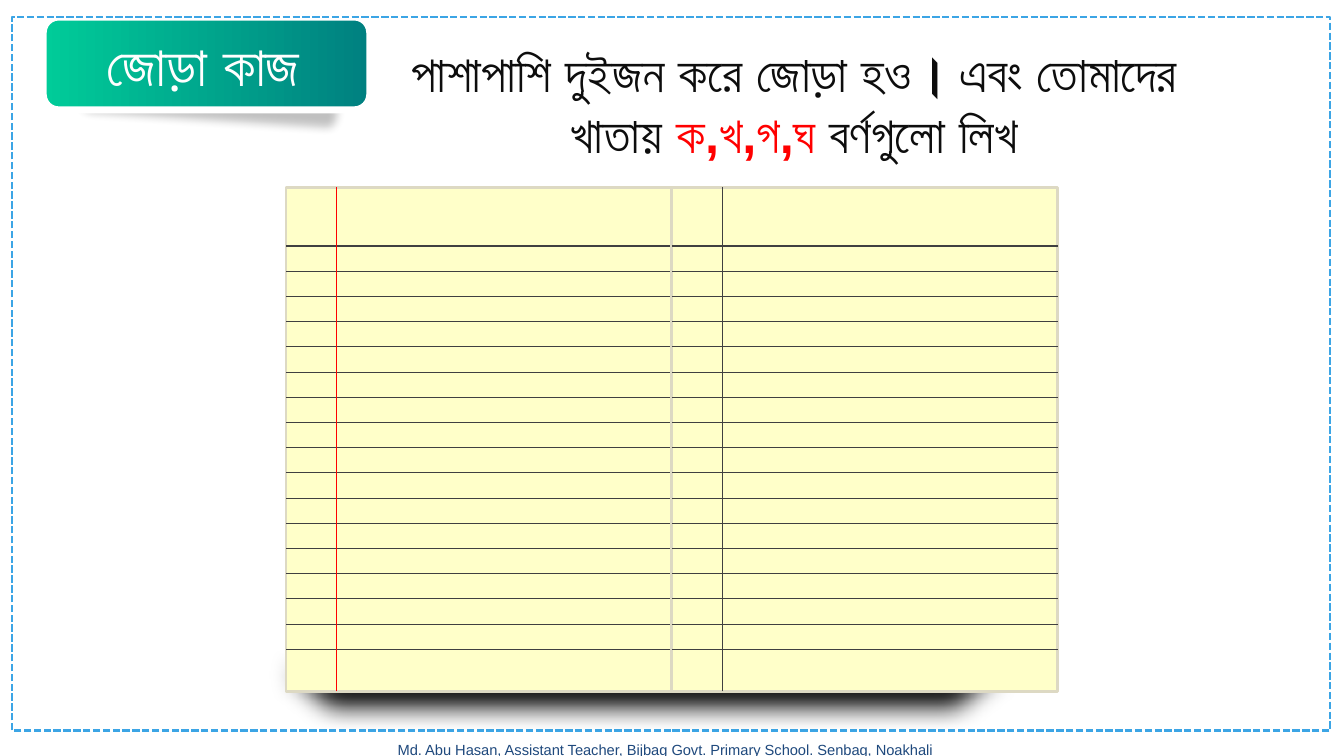
from dataclasses import dataclass

from lxml import etree
from pptx import Presentation
from pptx.dml.color import RGBColor
from pptx.enum import dml, shapes, text
from pptx.oxml.ns import qn
from pptx.util import Cm, Pt


@dataclass(frozen=True)
class Theme:
    font: str = "Arial"
    black: str = "000000"
    ink: str = "0D0D0D"
    red: str = "FF0000"
    white: str = "FFFFFF"
    footer: str = "1F497D"
    frame: str = "3CA5E5"
    badge_start: str = "00CC99"
    badge_end: str = "008080"
    paper: str = "FFFFC9"
    paper_edge: str = "DDD9C3"
    rule: str = "404040"
    footer_size: float = 10.5
    task_size: float = 36
    badge_size: float = 40


THEME = Theme()

# Each text: box in cm (left, top, width, height), size, bold, runs
FOOTER = ((8.89, 18.54, 15.77, 0.71), THEME.footer_size, False, [
    ("Md. Abu Hasan, Assistant Teacher, Bijbag Govt. Primary School. Senbag, Noakhali", THEME.footer)])
TASK = ((9.7, 0.94, 20.62, 3.33), THEME.task_size, True, [
    ("পাশাপাশি দুইজন করে জোড়া হও। এবং তোমাদের খাতায় ", THEME.ink),
    ("ক,খ,গ,ঘ ", THEME.red),
    ("বর্ণগুলো লিখ", THEME.ink)])
BADGE_LABEL = ((1.4, 0.64, 7.42, 1.96), THEME.badge_size, True, [("জোড়া কাজ", THEME.white)])

BADGE = (1.09, 0.43, 8.23, 2.34)
BADGE_SHADOW = (1.83, 1.47, 6.93, 1.8)
FRAME = (0.3, 0.43, 33.22, 17.98)
NOTEBOOK_SHADOW = (5.11, 16.33, 22.2, 2.11)

PAGE_LEFT, PAGE_TOP, PAGE_WIDTH, PAGE_HEIGHT = 7.21, 4.72, 9.72, 12.7
MARGIN_COLOURS = [THEME.red, THEME.rule]  # one notebook page each
MARGIN = 1.27
FIRST_RULE, RULE_GAP, RULE_COUNT = 1.48, 0.635, 17

deck = Presentation()
deck.slide_width, deck.slide_height = Cm(33.87), Cm(19.05)
page = deck.slides.add_slide(deck.slide_layouts[6])


def colour(value):
    return RGBColor.from_string(value)


def add_text(area, size, bold, runs):
    box = page.shapes.add_textbox(*map(Cm, area))
    box.text_frame.word_wrap = True
    para = box.text_frame.paragraphs[0]
    para.alignment = text.PP_ALIGN.CENTER
    for wording, shade in runs:
        span = para.add_run()
        span.text = wording
        span.font.name = THEME.font
        span.font.size = Pt(size)
        span.font.bold = bold
        span.font.color.rgb = colour(shade)


def add_box(kind, area, fill=None, line=None, width=1):
    """Add a flat preset shape; no fill or line unless a colour is given."""
    box = page.shapes.add_shape(kind, *map(Cm, area))
    box.shadow.inherit = False
    if fill:
        box.fill.solid()
        box.fill.fore_color.rgb = colour(fill)
    else:
        box.fill.background()
    if line:
        box.line.color.rgb = colour(line)
        box.line.width = Pt(width)
    else:
        box.line.fill.background()
    return box


def soften(box, radius):
    effects = box._element.spPr.find(qn("a:effectLst"))
    etree.SubElement(effects, qn("a:softEdge"), rad=str(int(Cm(radius))))


def add_line(x1, y1, x2, y2, shade):
    line = page.shapes.add_connector(
        shapes.MSO_CONNECTOR.STRAIGHT, Cm(x1), Cm(y1), Cm(x2), Cm(y2))
    line.line.color.rgb = colour(shade)
    line.line.width = Pt(0.75)
    etree.SubElement(line._element.spPr, qn("a:effectLst"))


def add_badge():
    rounded = shapes.MSO_SHAPE.ROUNDED_RECTANGLE
    shadow = add_box(rounded, BADGE_SHADOW, THEME.black)
    shadow.rotation = 3.7
    solid = shadow._element.spPr.find(qn("a:solidFill"))
    etree.SubElement(solid[0], qn("a:alpha"), val="25000")
    soften(shadow, 0.25)
    badge = add_box(rounded, BADGE, line=THEME.white, width=5)
    badge.fill.gradient()
    badge.fill.gradient_angle = 0
    for stop, shade in zip(badge.fill.gradient_stops, (THEME.badge_start, THEME.badge_end)):
        stop.color.rgb = colour(shade)
    add_text(*BADGE_LABEL)


def add_notebook_page(left, margin_colour):
    add_box(shapes.MSO_SHAPE.RECTANGLE, (left, PAGE_TOP, PAGE_WIDTH, PAGE_HEIGHT),
            THEME.paper, THEME.paper_edge, 2)
    for index in range(RULE_COUNT):
        y = PAGE_TOP + FIRST_RULE + index * RULE_GAP
        add_line(left, y, left + PAGE_WIDTH, y, THEME.rule)
    x = left + MARGIN
    add_line(x, PAGE_TOP + PAGE_HEIGHT, x, PAGE_TOP, margin_colour)


add_text(*FOOTER)
add_text(*TASK)
add_badge()
frame = add_box(shapes.MSO_SHAPE.RECTANGLE, FRAME, line=THEME.frame, width=1.75)
frame.line.dash_style = dml.MSO_LINE.SQUARE_DOT

notebook_shadow = add_box(shapes.MSO_SHAPE.TRAPEZOID, NOTEBOOK_SHADOW, THEME.black)
notebook_shadow.adjustments[0] = 1.25
notebook_shadow.rotation = 180
soften(notebook_shadow, 0.64)
for number, margin_colour in enumerate(MARGIN_COLOURS):
    add_notebook_page(PAGE_LEFT + number * PAGE_WIDTH, margin_colour)

deck.save("out.pptx")
